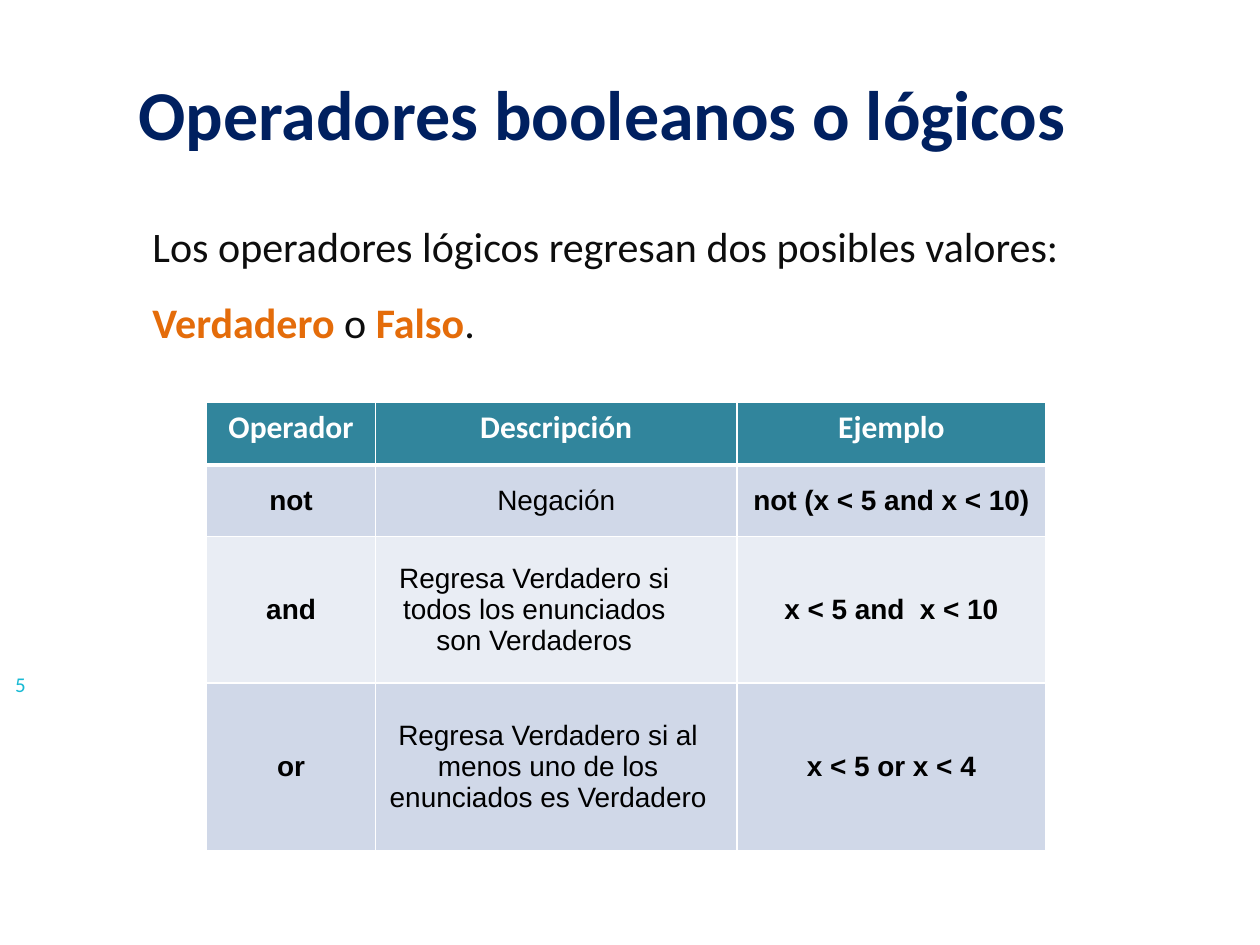
from lxml.etree import SubElement as Sub
from pptx import Presentation
from pptx.dml.color import RGBColor as RGB
from pptx.enum.text import MSO_ANCHOR as Anchor, PP_ALIGN as Align
from pptx.oxml.ns import qn
from pptx.util import Inches, Pt

NAVY = RGB(0x00, 0x20, 0x60)
CYAN = RGB(0x18, 0xBA, 0xD4)
INK = RGB(0x0D, 0x0D, 0x0D)
ORANGE = RGB(0xE4, 0x6C, 0x0A)
TEAL = RGB(0x31, 0x85, 0x9C)
BLUE = RGB(0xD0, 0xD8, 0xE8)
PALE = RGB(0xE9, 0xED, 0xF4)
WHITE = RGB(0xFF, 0xFF, 0xFF)
BLACK = RGB(0x00, 0x00, 0x00)

COLS = [1.34, 2.87, 2.45]
ROWS = [0.5, 0.57, 1.16, 1.33]
HEADS = ["Operador", "Descripción", "Ejemplo"]
BODY = [
    ["not", "Negación", "not (x < 5 and x < 10)"],
    ["and", "Regresa Verdadero si todos los enunciados son Verdaderos",
     "x < 5 and  x < 10"],
    ["or", "Regresa Verdadero si al menos uno de los enunciados es Verdadero",
     "x < 5 or x < 4"],
]
# Right margins that narrow the long descriptions, by table row
INSETS = {2: 0.43, 3: 0.21}


def put(para, text, size=24, color=INK, bold=False, font="Calibri"):
    """Add a formatted run to a paragraph."""
    run = para.add_run()
    run.text = text
    run.font.name = font
    run.font.size = Pt(size)
    run.font.bold = bold
    run.font.color.rgb = color


def pad(item, left=0, right=0):
    """Set the side margins of a frame or cell and clear the others."""
    item.margin_left, item.margin_right = Inches(left), Inches(right)
    item.margin_top = item.margin_bottom = 0


def add_box(slide, left, top, width, height, anchor=Anchor.TOP):
    """Add a text box without margins and return its paragraph."""
    box = slide.shapes.add_textbox(
        Inches(left), Inches(top), Inches(width), Inches(height))
    frame = box.text_frame
    frame.word_wrap = True
    frame.vertical_anchor = anchor
    pad(frame)
    return frame.paragraphs[0]


def edge(cell, head, below):
    """Draw white cell borders, thick between the header and the body."""
    props = cell._tc.get_or_add_tcPr()
    widths = {"lnL": 1, "lnR": 1, "lnT": 3 if below else 1,
              "lnB": 3 if head else 1}
    for tag, width in widths.items():
        line = Sub(props, qn("a:" + tag), w=str(Pt(width)))
        Sub(Sub(line, qn("a:solidFill")), qn("a:srgbClr"), val=str(WHITE))


def paint(cell, color):
    cell.fill.solid()
    cell.fill.fore_color.rgb = color


def add_grid(slide):
    table = slide.shapes.add_table(
        len(ROWS), len(COLS), Inches(1.64), Inches(3.19),
        Inches(sum(COLS)), Inches(sum(ROWS))).table
    for col, width in zip(table.columns, COLS):
        col.width = Inches(width)
    for row, height in zip(table.rows, ROWS):
        row.height = Inches(height)
    for i, texts in enumerate([HEADS] + BODY):
        for j, text in enumerate(texts):
            cell = table.cell(i, j)
            edge(cell, i == 0, i == 1)
            para = cell.text_frame.paragraphs[0]
            para.alignment = Align.CENTER
            if i == 0:
                paint(cell, TEAL)
                put(para, text, size=18, color=WHITE, bold=True)
                continue
            paint(cell, BLUE if i % 2 else PALE)
            cell.vertical_anchor = Anchor.MIDDLE
            pad(cell, left=0.08 if j == 1 and i in INSETS else 0,
                right=INSETS.get(i, 0) if j == 1 else 0)
            put(para, text, size=16, color=BLACK, bold=j != 1, font="Arial")


def main():
    deck = Presentation()
    deck.slide_width, deck.slide_height = Inches(10), Inches(7.5)
    slide = deck.slides.add_slide(deck.slide_layouts[6])

    title = add_box(slide, 0.31, 0.56, 8.94, 0.75)
    title.alignment = Align.CENTER
    put(title, "Operadores booleanos o lógicos",
        size=40, color=NAVY, bold=True)

    page = add_box(slide, 0.12, 5.32, 0.2, 0.22, anchor=Anchor.MIDDLE)
    put(page, "5", size=12, color=CYAN)

    intro = add_box(slide, 1.21, 1.55, 8.05, 1.34)
    intro.line_spacing = 1.5
    put(intro, "Los operadores lógicos regresan dos posibles valores: ")
    put(intro, "Verdadero", color=ORANGE, bold=True)
    put(intro, " o ")
    put(intro, "Falso", color=ORANGE, bold=True)
    put(intro, ".")

    add_grid(slide)
    deck.save("out.pptx")


if __name__ == "__main__":
    main()
